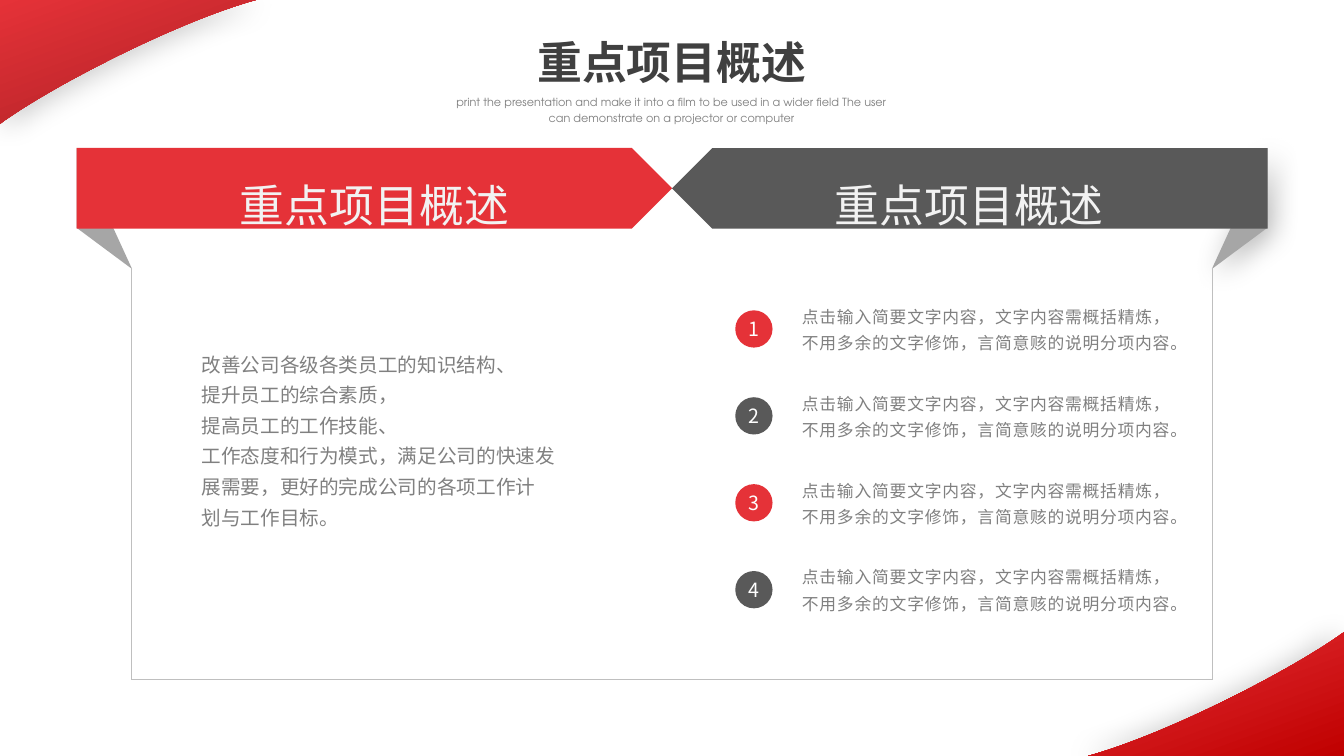
from lxml.etree import SubElement
from pptx import Presentation
from pptx.dml.color import RGBColor
from pptx.enum.shapes import MSO_CONNECTOR, MSO_SHAPE
from pptx.enum.text import MSO_ANCHOR, PP_ALIGN
from pptx.oxml.ns import qn
from pptx.util import Cm, Pt

RED = RGBColor(0xE5, 0x32, 0x38)
DARK_RED = RGBColor(0xAC, 0x21, 0x25)
DEEP_RED = RGBColor(0xC0, 0x00, 0x00)
CHARCOAL = RGBColor(0x59, 0x59, 0x59)
FOLD_GRAY = RGBColor(0xA6, 0xA6, 0xA6)
FRAME_GRAY = RGBColor(0xBF, 0xBF, 0xBF)
TITLE_GRAY = RGBColor(0x40, 0x40, 0x40)
BODY_GRAY = RGBColor(0x80, 0x80, 0x80)
OFF_WHITE = RGBColor(0xF2, 0xF2, 0xF2)
WHITE = RGBColor(0xFF, 0xFF, 0xFF)

CJK_FONT = "Noto Sans CJK SC"
LATIN_FONT = "TeX Gyre Adventor"
WIDTH, HEIGHT = 33.87, 19.05
TOPIC = "重点项目概述"
SUBTITLE = ("print the presentation and make it into a film to be used in a wider field "
            "The user can demonstrate on a projector or computer")
GOALS = [
    "改善公司各级各类员工的知识结构、",
    "提升员工的综合素质，",
    "提高员工的工作技能、",
    "工作态度和行为模式，满足公司的快速发展需要，更好的完成公司的各项工作计",
    "划与工作目标。",
]
ITEM = "点击输入简要文字内容，文字内容需概括精炼，不用多余的文字修饰，言简意赅的说明分项内容。"
CORNER_CURVE = [(6.45, 0), (4.42, 0.56), (1.24, 2.21), (0, 3.12)]
FOLD = [(1.93, 3.73), (3.33, 6.78), (1.93, 5.74)]


def bezier(controls, steps=32):
    """Return points along a cubic curve."""
    weights = [((1 - t) ** 3, 3 * t * (1 - t) ** 2, 3 * t * t * (1 - t), t ** 3)
               for t in (step / steps for step in range(steps + 1))]
    return [tuple(sum(w * point[axis] for w, point in zip(row, controls)) for axis in (0, 1))
            for row in weights]


def add_outline(slide, points):
    """Add a closed, lineless polygon through points in centimetres."""
    vertices = [(Cm(x), Cm(y)) for x, y in points]
    builder = slide.shapes.build_freeform(*vertices[0], scale=1.0)
    builder.add_line_segments(vertices[1:], close=True)
    outline = builder.convert_to_shape()
    outline.shadow.inherit = False
    outline.line.fill.background()
    return outline


def add_shadow(shape, opacity, direction):
    """Give a shape a soft outer shadow."""
    effects = shape._element.spPr.find(qn("a:effectLst"))
    shadow = SubElement(effects, qn("a:outerShdw"), blurRad=str(Pt(20)), dist=str(Pt(5)),
                        dir=str(direction * 60000), algn="ctr", rotWithShape="0")
    color = SubElement(shadow, qn("a:srgbClr"), val="000000")
    SubElement(color, qn("a:alpha"), val=str(opacity * 1000))


def add_corner(slide, points, end_color, shadow_direction):
    """Add a gradient corner ornament."""
    corner = add_outline(slide, points)
    corner.fill.gradient()
    corner.fill.gradient_angle = 290
    for stop, color in zip(corner.fill.gradient_stops, (RED, end_color)):
        stop.color.rgb = color
    add_shadow(corner, 20, shadow_direction)


def add_fold(slide, points):
    """Add the folded end of a ribbon."""
    fold = add_outline(slide, points)
    fold.fill.solid()
    fold.fill.fore_color.rgb = FOLD_GRAY
    return fold


def add_frame_line(slide, x1, y1, x2, y2):
    """Add one thin edge of the content frame."""
    edge = slide.shapes.add_connector(MSO_CONNECTOR.STRAIGHT, Cm(x1), Cm(y1), Cm(x2), Cm(y2))
    edge.line.color.rgb = FRAME_GRAY
    edge.line.width = Pt(0.75)
    SubElement(edge._element.spPr, qn("a:effectLst"))


def add_solid(slide, preset, left, top, width, height, color):
    """Add a flat preset shape without a line."""
    solid = slide.shapes.add_shape(preset, Cm(left), Cm(top), Cm(width), Cm(height))
    solid.shadow.inherit = False
    solid.fill.solid()
    solid.fill.fore_color.rgb = color
    solid.line.fill.background()
    return solid


def clear_margins(frame):
    """Remove the insets of a text frame."""
    frame.margin_left = frame.margin_right = frame.margin_top = frame.margin_bottom = 0


def style_text(frame, size, color, font=CJK_FONT, align=PP_ALIGN.LEFT, spacing=None,
               bold=False, tracking=0):
    """Format every run in a text frame."""
    for paragraph in frame.paragraphs:
        paragraph.alignment = align
        paragraph.line_spacing = spacing
        for run in paragraph.runs:
            run.font.size = Pt(size)
            run.font.bold = bold
            run.font.color.rgb = color
            run.font.name = font
            properties = run.font._element
            SubElement(properties, qn("a:ea"), typeface=CJK_FONT)
            if tracking:
                properties.set("spc", str(tracking))


def add_text(slide, text, left, top, width, height, inset=True, **style):
    """Add a wrapping text box."""
    frame = slide.shapes.add_textbox(Cm(left), Cm(top), Cm(width), Cm(height)).text_frame
    frame.word_wrap = True
    if not inset:
        clear_margins(frame)
    frame.text = text
    style_text(frame, **style)


def add_banner(slide, left, text_left, color, rotation):
    """Add an arrow-shaped banner with its heading."""
    banner = add_solid(slide, MSO_SHAPE.PENTAGON, left, 3.73, 15.01, 2.03, color)
    banner.rotation = rotation
    add_text(slide, TOPIC, text_left, 3.94, 8, 1.85, size=32, color=OFF_WHITE,
             align=PP_ALIGN.CENTER, spacing=1.3)


def add_item(slide, number, top, color):
    """Add a numbered circle and its description."""
    badge = add_solid(slide, MSO_SHAPE.OVAL, 18.53, top + 0.25, 0.94, 0.94, color)
    frame = badge.text_frame
    clear_margins(frame)
    frame.word_wrap = False
    frame.vertical_anchor = MSO_ANCHOR.MIDDLE
    frame.text = str(number)
    style_text(frame, 14, WHITE, align=PP_ALIGN.CENTER)
    add_text(slide, ITEM, 20.21, top, 9.3, 1.27, inset=False, size=12, color=BODY_GRAY,
             align=PP_ALIGN.JUSTIFY, spacing=1.3, tracking=50)


def main():
    """Build the project overview slide."""
    deck = Presentation()
    deck.slide_width, deck.slide_height = Cm(WIDTH), Cm(HEIGHT)
    slide = deck.slides.add_slide(deck.slide_layouts[6])

    corner = [(0, 0)] + bezier(CORNER_CURVE)
    add_corner(slide, corner, DARK_RED, 45)
    add_corner(slide, [(WIDTH - x, HEIGHT - y) for x, y in corner], DEEP_RED, 180)

    add_shadow(add_fold(slide, [(WIDTH - x, y) for x, y in FOLD]), 30, 45)
    add_fold(slide, FOLD)
    left, middle, right, top, bottom = 3.31, WIDTH / 2, WIDTH - 3.31, 6.76, 17.12
    for edge in ((left, top, left, bottom), (right, top, right, bottom),
                 (left, bottom, middle, bottom), (middle, bottom, right, bottom)):
        add_frame_line(slide, *edge)
    add_banner(slide, 1.93, 5.44, RED, 0)
    add_banner(slide, middle, 20.43, CHARCOAL, 180)

    add_text(slide, "\n".join(GOALS), 5.08, 8.71, 9.3, 4.65, inset=False, size=14,
             color=BODY_GRAY, spacing=1.3)
    for index in range(4):
        add_item(slide, index + 1, 7.57 + 2.19 * index, (RED, CHARCOAL)[index % 2])

    add_text(slide, TOPIC, 11, 0.74, 11.86, 1.63, size=32, color=TITLE_GRAY,
             font=LATIN_FONT, align=PP_ALIGN.CENTER, bold=True)
    add_text(slide, SUBTITLE, 11, 2.21, 11.86, 1.07, size=8, color=BODY_GRAY,
             font=LATIN_FONT, align=PP_ALIGN.CENTER, spacing=1.2)
    deck.save("out.pptx")


if __name__ == "__main__":
    main()
